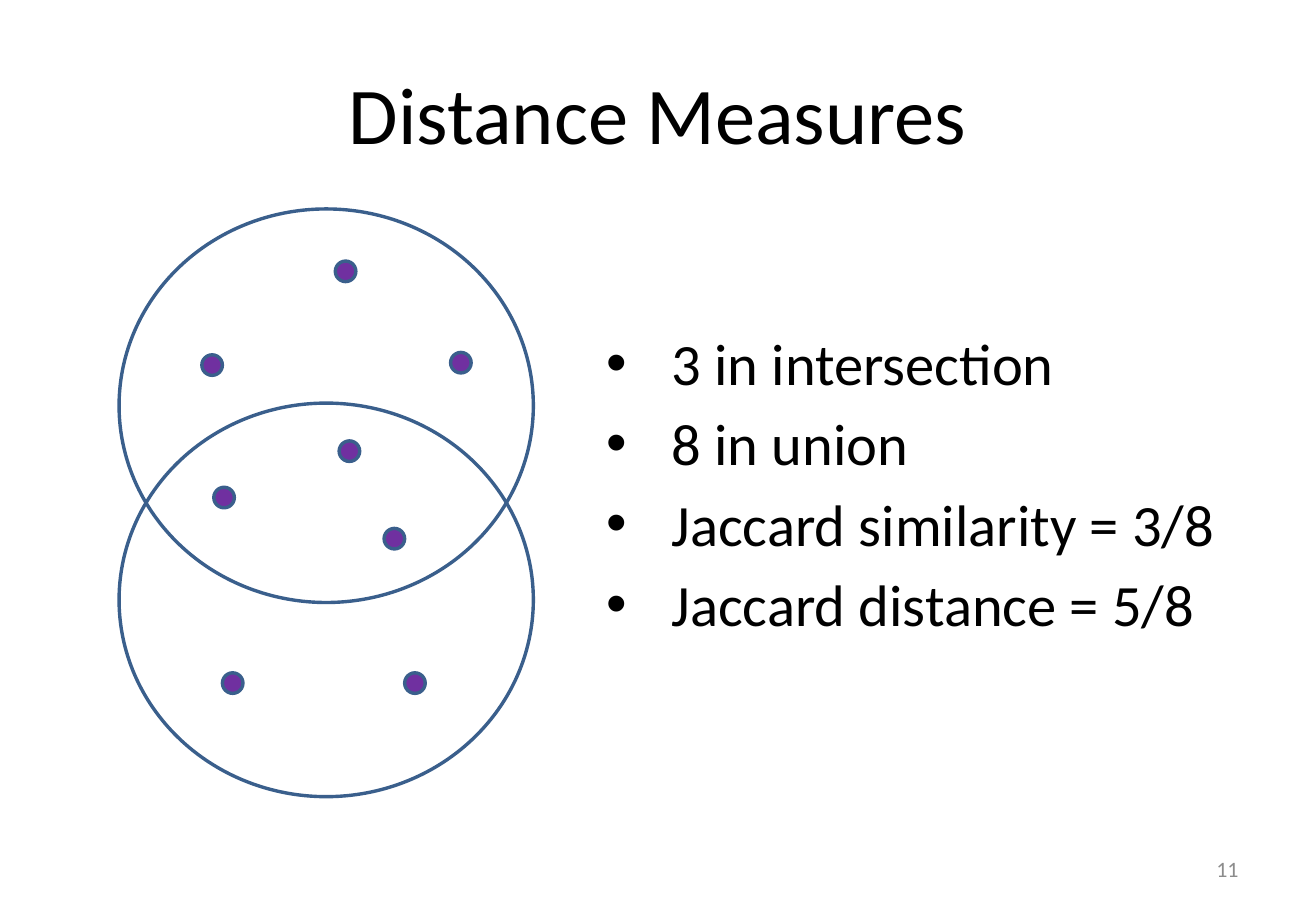
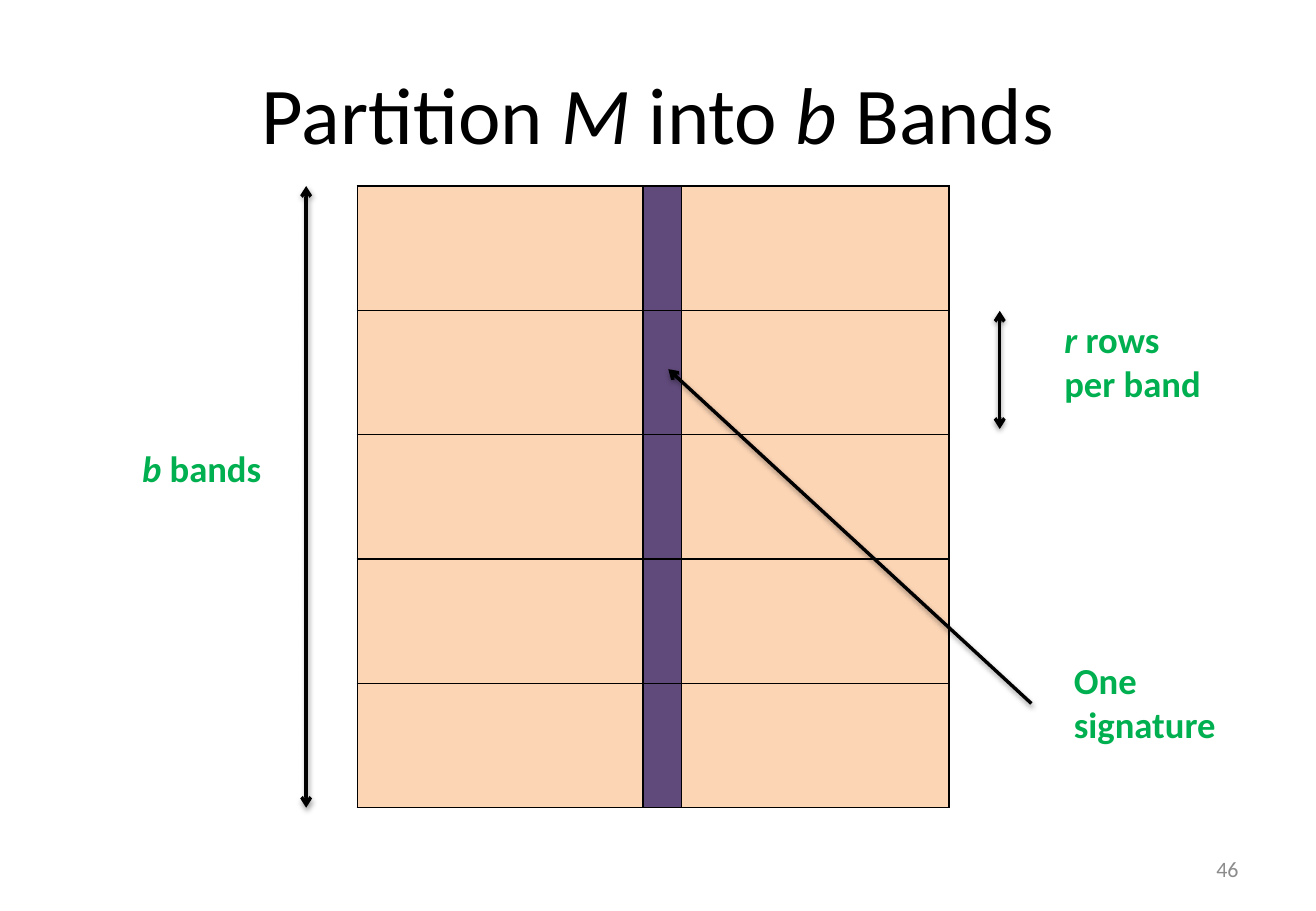
from lxml import etree
from pptx import Presentation
from pptx import util as u
from pptx.dml.color import RGBColor
from pptx.enum import shapes, text
from pptx.oxml import parse_xml
from pptx.oxml.ns import nsdecls, qn

Cm, Pt = u.Cm, u.Pt
BLACK = RGBColor(0x00, 0x00, 0x00)
GREY = RGBColor(0x8C, 0x8C, 0x8C)
GREEN = RGBColor(0x00, 0xB0, 0x50)
BLUE = RGBColor(0x3A, 0x5F, 0x8C)
PURPLE = RGBColor(0x70, 0x30, 0xA0)
PEACH = RGBColor(0xFC, 0xD5, 0xB5)
PLUM = RGBColor(0x60, 0x4A, 0x7B)
LEFT, MID, RIGHT = text.PP_ALIGN.LEFT, text.PP_ALIGN.CENTER, text.PP_ALIGN.RIGHT
TOP, CENTRE = text.MSO_ANCHOR.TOP, text.MSO_ANCHOR.MIDDLE


def write(slide, box, lines, size, color, bold=False, align=LEFT, anchor=TOP):
    """Add a text box; each line is a list of (words, italic) runs."""
    frame = slide.shapes.add_textbox(*map(Cm, box)).text_frame
    frame.word_wrap = True
    frame.vertical_anchor = anchor
    for i, line in enumerate(lines):
        para = frame.paragraphs[0] if i == 0 else frame.add_paragraph()
        para.alignment = align
        for words, slant in line:
            run = para.add_run()
            run.text = words
            font = run.font
            font.name, font.size, font.bold, font.italic = "Calibri", Pt(size), bold, slant
            font.color.rgb = color
    return frame


def circle(slide, x, y, w, h, fill=None):
    """Add an outlined ellipse, filled when a colour is given."""
    oval = slide.shapes.add_shape(shapes.MSO_SHAPE.OVAL, Cm(x), Cm(y), Cm(w), Cm(h))
    oval.shadow.inherit = False
    oval.line.color.rgb = BLUE
    oval.line.width = Pt(2)
    if fill is None:
        oval.fill.background()
    else:
        oval.fill.solid()
        oval.fill.fore_color.rgb = fill


deck = Presentation()
deck.slide_width, deck.slide_height = Cm(27.51), Cm(19.05)

# Titles and page numbers
pages = [
    ([("Distance Measures", False)], "11"),
    ([("Partition ", False), ("M", True), (" into ", False), ("b", True),
      (" Bands", False)], "46"),
]
for title, page in pages:
    slide = deck.slides.add_slide(deck.slide_layouts[6])
    write(slide, (1.37, 0.76, 24.77, 3.18), [title], 47.7, BLACK, align=MID, anchor=CENTRE)
    write(slide, (19.71, 17.65, 6.43, 1.02), [[(page, False)]], 13, GREY,
          align=RIGHT, anchor=CENTRE)
sets, bands = deck.slides

# Bullet list
facts = ["3 in intersection", "8 in union", "Jaccard similarity = 3/8", "Jaccard distance = 5/8"]
body = write(sets, (12.24, 6.71, 14.33, 7.67), [[(fact, False)] for fact in facts], 34.7, BLACK)
for para in body.paragraphs:
    para.space_before = Pt(6)
    props = para._p.get_or_add_pPr()
    props.set("marL", str(Cm(1.55)))
    props.set("indent", str(Cm(-1.37)))
    etree.SubElement(props, qn("a:buFont")).set("typeface", "Arial")
    etree.SubElement(props, qn("a:buChar")).set("char", "•")

# Two overlapping sets and their members
for y in (4.37, 8.43):
    circle(sets, 2.49, y, 8.66, 8.23)
dots = [(4.22, 7.42), (7.01, 5.46), (9.42, 7.37), (8.03, 11.05),
        (7.09, 9.22), (4.47, 10.19), (4.65, 14.07), (8.46, 14.07)]
for x, y in dots:
    circle(sets, x, y, 0.43, 0.43, PURPLE)

# Matrix of bands, with one signature column
left, top, step, count = 7.47, 3.89, 2.6, 5
widths = [5.97, 0.81, 5.59]
grid = bands.shapes.add_table(count, len(widths), Cm(left), Cm(top),
                              Cm(sum(widths)), Cm(step * count)).table
grid.first_row = grid.horz_banding = False
for col, width in zip(grid.columns, widths):
    col.width = Cm(width)
for row in grid.rows:
    row.height = Cm(step)
    for cell, color in zip(row.cells, (PEACH, PLUM, PEACH)):
        cell.fill.solid()
        cell.fill.fore_color.rgb = color
        props = cell._tc.get_or_add_tcPr()
        for i, side in enumerate("LRTB"):
            props.insert(i, parse_xml(
                f'<a:ln{side} {nsdecls("a")} w="{Pt(1)}"><a:solidFill>'
                f'<a:srgbClr val="{BLACK}"/></a:solidFill></a:ln{side}>'))

# Labels
labels = [
    ((2.72, 9.19, 3.45, 1.19), [[("b", True), (" bands", False)]]),
    ((22.2, 13.64, 4.55, 2.11), [[("One signature", False)]]),
    ((22, 6.5, 4.34, 2.11), [[("r", True), (" rows", False)], [("per band", False)]]),
]
for box, lines in labels:
    write(bands, box, lines, 21.7, GREEN, bold=True)

# Arrows with a soft shadow
arrows = [
    ((6.4, top, 6.4, top + step * count), ("headEnd", "tailEnd")),
    ((20.9, 6.5, 20.9, 8.97), ("headEnd", "tailEnd")),
    ((21.56, 14.71, 13.97, 7.72), ("tailEnd",)),
]
for ends, tips in arrows:
    arrow = bands.shapes.add_connector(shapes.MSO_CONNECTOR.STRAIGHT, *map(Cm, ends))
    arrow.line.color.rgb = BLACK
    arrow.line.width = Pt(2)
    for tip in tips:
        etree.SubElement(arrow.line._get_or_add_ln(), qn("a:" + tip)).set("type", "arrow")
    arrow._element.spPr.append(parse_xml(
        f'<a:effectLst {nsdecls("a")}><a:outerShdw blurRad="{Pt(3.1)}" dist="{Pt(1.6)}" '
        f'dir="5400000" rotWithShape="0"><a:srgbClr val="{BLACK}"><a:alpha val="38000"/>'
        f'</a:srgbClr></a:outerShdw></a:effectLst>'))

deck.save("out.pptx")
